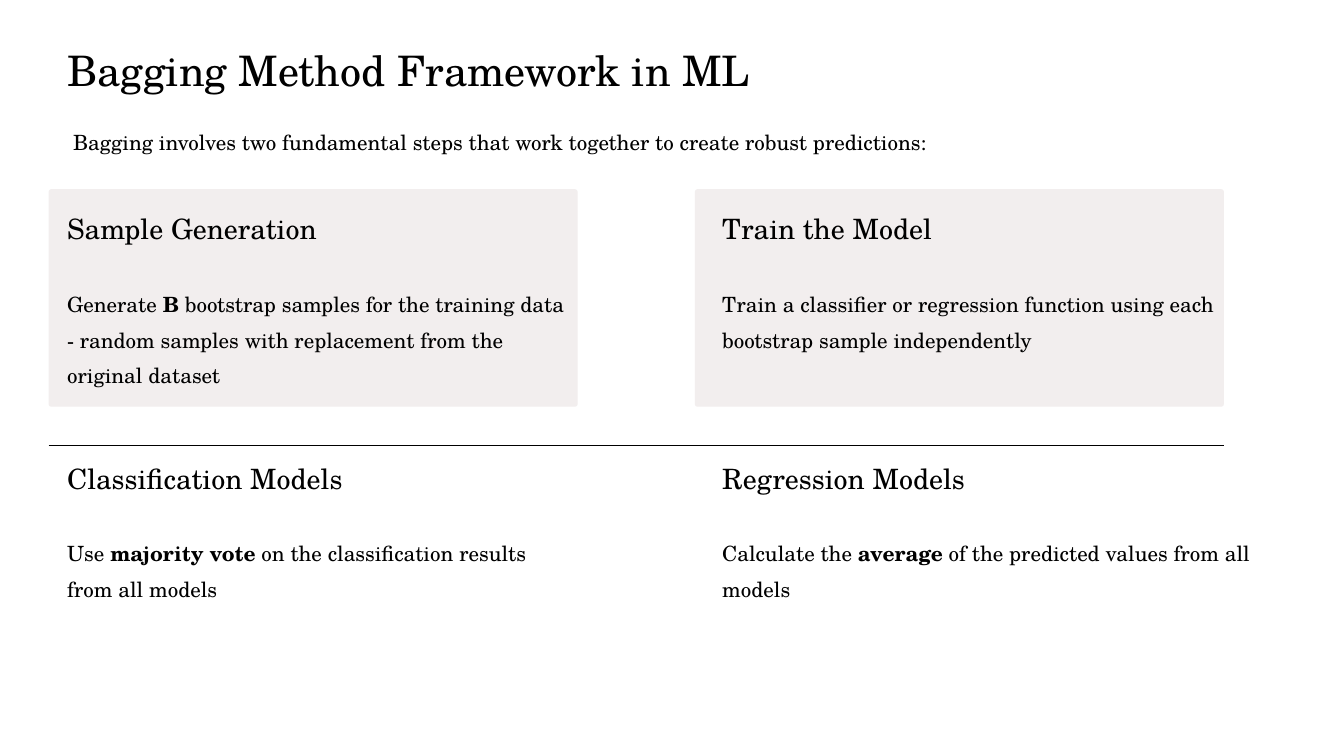
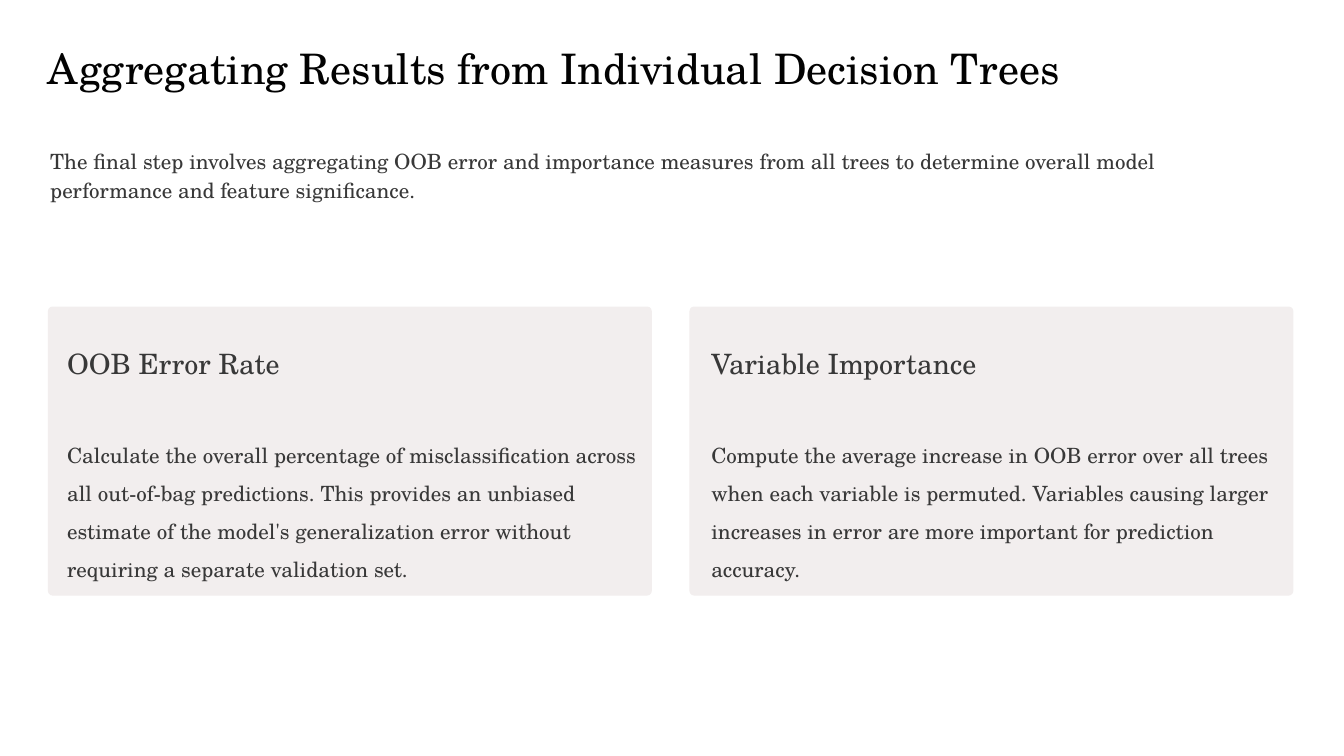
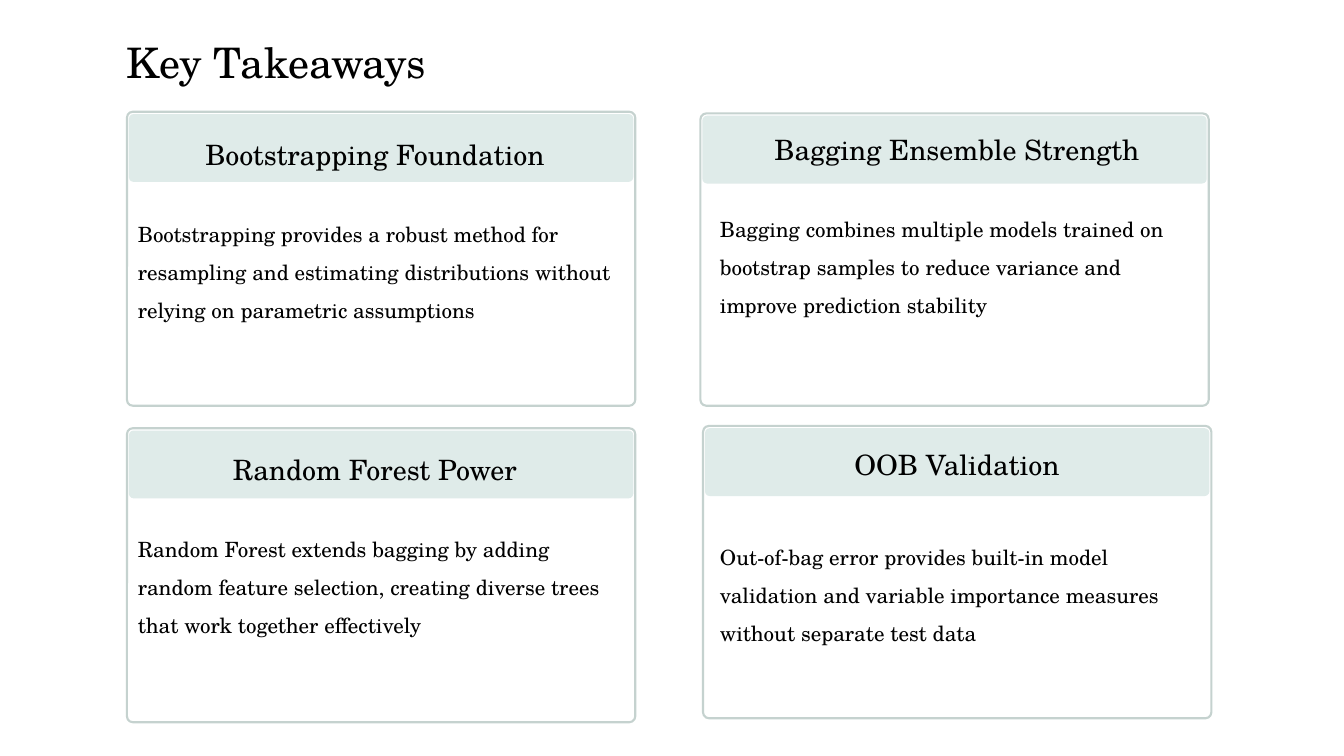
"""Build three slides on bagging, aggregation of trees and key takeaways."""

import dataclasses

import lxml.etree
import pptx
import pptx.dml.color
import pptx.enum.shapes
import pptx.enum.text
import pptx.oxml.ns
import pptx.presentation
import pptx.shapes.autoshape
import pptx.slide
import pptx.text.text
import pptx.util

Cm = pptx.util.Cm
Pt = pptx.util.Pt


@dataclasses.dataclass(frozen=True)
class Theme:
    font: str = "TeX Gyre Schola"
    black: str = "000000"
    near_black: str = "020202"
    grey: str = "383838"
    card: str = "F2EEEE"
    panel_line: str = "C5D2CF"
    panel_header: str = "DFEBE9"
    title_size: float = 36
    heading_size: float = 24
    body_size: float = 18
    title_spacing: pptx.util.Length = Pt(51)
    intro_spacing: pptx.util.Length = Pt(25)
    column_spacing: pptx.util.Length = Pt(30.5)
    wide_spacing: float = 1.5


THEME = Theme()


@dataclasses.dataclass(frozen=True)
class Box:
    left: float
    top: float
    width: float
    height: float

    def lengths(self) -> tuple[pptx.util.Length, ...]:
        return tuple(Cm(value) for value in dataclasses.astuple(self))


@dataclasses.dataclass(frozen=True)
class Topic:
    heading: str
    body: str
    body_gap: float
    gap_before: float = 0


def rgb(color: str) -> pptx.dml.color.RGBColor:
    return pptx.dml.color.RGBColor.from_string(color)


def add_slide(presentation: pptx.presentation.Presentation) -> pptx.slide.Slide:
    return presentation.slides.add_slide(presentation.slide_layouts[6])


def add_frame(
    slide: pptx.slide.Slide, box: Box, inset_x: float = 0, inset_y: float = 0
) -> pptx.text.text.TextFrame:
    frame = slide.shapes.add_textbox(*box.lengths()).text_frame
    frame.word_wrap = True
    frame.margin_left = frame.margin_right = Cm(inset_x)
    frame.margin_top = frame.margin_bottom = Cm(inset_y)
    return frame


def write(
    frame: pptx.text.text.TextFrame,
    text: str,
    *,
    size: float = THEME.body_size,
    color: str = THEME.black,
    line_spacing: float | pptx.util.Length = THEME.wide_spacing,
    space_before: float = 0,
    centered: bool = False,
) -> None:
    first = frame.paragraphs[0]
    paragraph = frame.add_paragraph() if first.runs else first
    paragraph.line_spacing = line_spacing
    paragraph.space_before = Pt(space_before)
    if centered:
        paragraph.alignment = pptx.enum.text.PP_ALIGN.CENTER
    for index, part in enumerate(text.split("**")):
        run = paragraph.add_run()
        run.text = part
        run.font.name = THEME.font
        run.font.size = Pt(size)
        run.font.bold = index % 2 == 1
        run.font.color.rgb = rgb(color)


def add_title(
    slide: pptx.slide.Slide, text: str, left: float, top: float, color: str = THEME.black
) -> None:
    frame = add_frame(slide, Box(left, top, 37.92, 1.7))
    write(frame, text, size=THEME.title_size, color=color, line_spacing=THEME.title_spacing)


def add_intro(
    slide: pptx.slide.Slide, text: str, box: Box, color: str = THEME.black
) -> None:
    frame = add_frame(slide, box, inset_x=0.25, inset_y=0.13)
    write(frame, text, color=color, line_spacing=THEME.intro_spacing)


def add_topics(
    slide: pptx.slide.Slide,
    box: Box,
    topics: tuple[Topic, ...],
    *,
    color: str = THEME.black,
    line_spacing: float | pptx.util.Length = THEME.wide_spacing,
    centered: bool = False,
) -> None:
    frame = add_frame(slide, box)
    for topic in topics:
        write(
            frame,
            topic.heading,
            size=THEME.heading_size,
            color=color,
            line_spacing=line_spacing,
            space_before=topic.gap_before,
            centered=centered,
        )
        write(
            frame,
            topic.body,
            color=color,
            line_spacing=line_spacing,
            space_before=topic.body_gap,
        )


def add_rounded(
    slide: pptx.slide.Slide,
    box: Box,
    radius: float,
    *,
    fill: str | None = None,
    line: str | None = None,
) -> None:
    shape = slide.shapes.add_shape(
        pptx.enum.shapes.MSO_SHAPE.ROUNDED_RECTANGLE, *box.lengths()
    )
    shape.adjustments[0] = radius / min(box.width, box.height)
    shape.shadow.inherit = False
    if fill:
        shape.fill.solid()
        shape.fill.fore_color.rgb = rgb(fill)
    else:
        shape.fill.background()
    if line:
        shape.line.color.rgb = rgb(line)
        shape.line.width = Pt(1.8)
    else:
        shape.line.fill.background()


def add_rule(slide: pptx.slide.Slide, left: float, right: float, top: float) -> None:
    connector = slide.shapes.add_connector(
        pptx.enum.shapes.MSO_CONNECTOR.STRAIGHT, Cm(left), Cm(top), Cm(right), Cm(top)
    )
    connector.line.color.rgb = rgb(THEME.black)
    connector.line.width = Pt(0.75)
    lxml.etree.SubElement(connector._element.spPr, pptx.oxml.ns.qn("a:effectLst"))


def add_panel(slide: pptx.slide.Slide, box: Box) -> None:
    add_rounded(slide, box, 0.18, line=THEME.panel_line)
    header = Box(box.left + 0.06, box.top + 0.07, box.width - 0.12, 2.05)
    add_rounded(slide, header, 0.14, fill=THEME.panel_header)


def build_framework(presentation: pptx.presentation.Presentation) -> None:
    slide = add_slide(presentation)
    for left in (1.47, 21.01):
        add_rounded(slide, Box(left, 5.72, 16, 6.58), 0.09, fill=THEME.card)
    add_title(slide, "Bagging Method Framework in ML", 2.03, 1.07)
    add_intro(
        slide,
        "Bagging involves two fundamental steps that work together to create robust predictions:",
        Box(1.96, 3.68, 31.06, 1.09),
    )
    line = THEME.column_spacing.pt
    columns = (
        (
            Box(2.03, 6.35, 15.32, 13.13),
            (
                Topic(
                    "Sample Generation",
                    "Generate **B** bootstrap samples for the training data - random "
                    "samples with replacement from the original dataset",
                    line,
                ),
                Topic(
                    "Classification Models",
                    "Use **majority vote** on the classification results from all models",
                    line,
                    2 * line,
                ),
            ),
        ),
        (
            Box(21.84, 6.35, 16.61, 13.13),
            (
                Topic(
                    "Train the Model",
                    "Train a classifier or regression function using each "
                    "bootstrap sample independently",
                    line,
                ),
                Topic(
                    "Regression Models",
                    "Calculate the **average** of the predicted values from all models",
                    line,
                    3 * line,
                ),
            ),
        ),
    )
    for box, topics in columns:
        add_topics(slide, box, topics, line_spacing=THEME.column_spacing)
    add_rule(slide, 1.47, 37.01, 13.46)


def build_aggregation(presentation: pptx.presentation.Presentation) -> None:
    slide = add_slide(presentation)
    add_title(
        slide,
        "Aggregating Results from Individual Decision Trees",
        1.45,
        1.02,
        THEME.near_black,
    )
    add_intro(
        slide,
        "The final step involves aggregating OOB error and importance measures from all "
        "trees to determine overall model performance and feature significance.",
        Box(1.27, 4.24, 37.06, 1.98),
        THEME.grey,
    )
    measures = (
        (
            1.45,
            2.03,
            Topic(
                "OOB Error Rate",
                "Calculate the overall percentage of misclassification across all "
                "out-of-bag predictions. This provides an unbiased estimate of the "
                "model's generalization error without requiring a separate validation set.",
                43.2,
            ),
        ),
        (
            20.85,
            21.51,
            Topic(
                "Variable Importance",
                "Compute the average increase in OOB error over all trees when each "
                "variable is permuted. Variables causing larger increases in error are "
                "more important for prediction accuracy.",
                43.2,
            ),
        ),
    )
    for card_left, text_left, topic in measures:
        add_rounded(slide, Box(card_left, 9.27, 18.26, 8.74), 0.14, fill=THEME.card)
        add_topics(slide, Box(text_left, 9.96, 17.68, 8.74), (topic,), color=THEME.grey)


def build_takeaways(presentation: pptx.presentation.Presentation) -> None:
    slide = add_slide(presentation)
    for left, top, height in (
        (3.84, 3.38, 8.89),
        (3.84, 12.95, 8.89),
        (21.26, 12.88, 8.84),
        (21.18, 3.43, 8.84),
    ):
        add_panel(slide, Box(left, top, 15.37, height))
    add_title(slide, "Key Takeaways", 3.84, 0.84)
    line = 32.4
    columns = (
        (
            Box(4.17, 3.66, 14.33, 13.06),
            (
                Topic(
                    "Bootstrapping Foundation",
                    "Bootstrapping provides a robust method for resampling and estimating "
                    "distributions without relying on parametric assumptions",
                    line,
                ),
                Topic(
                    "Random Forest Power",
                    "Random Forest extends bagging by adding random feature selection, "
                    "creating diverse trees that work together effectively",
                    line,
                    3 * line,
                ),
            ),
        ),
        (
            Box(21.77, 3.51, 14.33, 13.06),
            (
                Topic(
                    "Bagging Ensemble Strength",
                    "Bagging combines multiple models trained on bootstrap samples to "
                    "reduce variance and improve prediction stability",
                    line,
                ),
                Topic(
                    "OOB Validation",
                    "Out-of-bag error provides built-in model validation and variable "
                    "importance measures without separate test data",
                    43.2,
                    3 * line,
                ),
            ),
        ),
    )
    for box, topics in columns:
        add_topics(slide, box, topics, centered=True)


def main() -> None:
    presentation = pptx.Presentation()
    presentation.slide_width = Cm(40.64)
    presentation.slide_height = Cm(22.86)
    build_framework(presentation)
    build_aggregation(presentation)
    build_takeaways(presentation)
    presentation.save("out.pptx")


if __name__ == "__main__":
    main()
